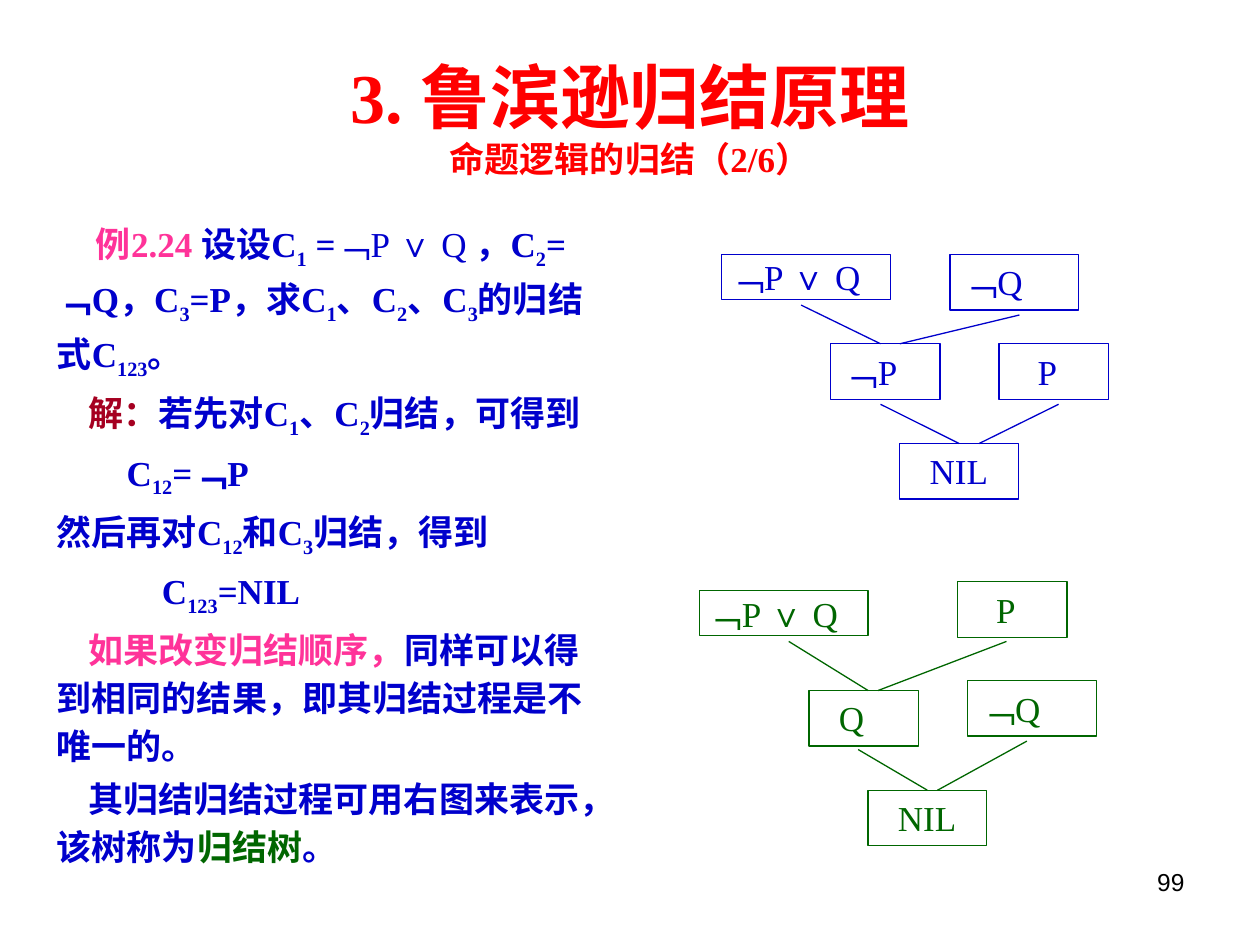
from lxml.etree import SubElement
from pptx import Presentation
from pptx.dml.color import RGBColor
from pptx.enum.shapes import MSO_CONNECTOR as LINE, MSO_SHAPE as SHAPE
from pptx.enum.text import MSO_ANCHOR as ANCHOR, MSO_AUTO_SIZE as FIT, PP_ALIGN as ALIGN
from pptx.oxml.ns import qn
from pptx.util import Cm, Pt

RED = RGBColor(0xFF, 0x00, 0x00)
PINK = RGBColor(0xFF, 0x33, 0x99)
CRIMSON = RGBColor(0xA5, 0x00, 0x21)
BLUE = RGBColor(0x00, 0x00, 0xCC)
GREEN = RGBColor(0x00, 0x66, 0x00)
BLACK = RGBColor(0x00, 0x00, 0x00)
SERIF = "Times New Roman"

TITLE = "3. 鲁滨逊归结原理"
SUBTITLE = "命题逻辑的归结（2/6）"
PAGE_NUMBER = "99"

# (first-line indent in cm, [(text, colour, bold)]); text between bars is subscript
BODY = [
    (0.79, [("例2.24 ", PINK, True), ("设设C|1| =", BLUE, True), ("﹁P ", BLUE, False),
            ("∨", BLUE, True), (" Q ", BLUE, False),
            ("，C|2|=﹁Q，C|3|=P，求C|1|、C|2|、C|3|的归结式C|123|。", BLUE, True)]),
    (0.64, [("解：", CRIMSON, True), ("若先对C|1|、C|2|归结，可得到", BLUE, True)]),
    (1.41, [("C|12|=﹁P", BLUE, True)]),
    (0, [("然后再对C|12|和C|3|归结，得到", BLUE, True)]),
    (2.12, [("C|123|=NIL", BLUE, True)]),
    (0.64, [("如果改变归结顺序，", PINK, True),
            ("同样可以得到相同的结果，即其归结过程是不唯一的。", BLUE, True)]),
    (0.64, [("其归结归结过程可用右图来表示，该树称为", BLUE, True),
            ("归结树", GREEN, True), ("。", BLUE, True)]),
]

# clause: (width, height, side margin, top margin, indent) in cm, [(text, bold)]
CLAUSES = {
    "not P or Q": ((3.4, 0.91, 0.15, 0.03, 0), [("﹁P ", False), ("∨", True), (" Q", False)]),
    "not Q": ((2.59, 1.12, 0.25, 0.13, 0), [("﹁Q", False)]),
    "not P": ((2.21, 1.12, 0.25, 0.13, 0), [("﹁P", False)]),
    "P": ((2.21, 1.12, 0.25, 0.13, 0.53), [("P", False)]),
    "Q": ((2.21, 1.12, 0.25, 0.13, 0.35), [("Q", False)]),
    "NIL": ((2.39, 1.12, 0.25, 0.13, 0.35), [("NIL", False)]),
}

# Edges run (x1, y1, x2, y2); the one named "root" ends at the top middle of NIL
TREES = [
    {"colour": BLUE,
     "nodes": [("not P or Q", 14.55, 5.13), ("not Q", 19.15, 5.13), ("not P", 16.74, 6.93),
               ("P", 20.14, 6.93), ("NIL", 18.14, 8.94)],
     "edges": [(16.15, 6.15, 17.75, 6.93), (20.55, 6.35, 18.14, 6.93),
               (21.34, 8.15, 19.74, 8.94)],
     "root": (17.75, 8.15)},
    {"colour": GREEN,
     "nodes": [("not P or Q", 14.1, 11.91), ("P", 19.3, 11.73), ("Q", 16.31, 13.92),
               ("not Q", 19.51, 13.72), ("NIL", 17.5, 15.93)],
     "edges": [(15.9, 12.93, 17.5, 13.92), (20.29, 12.93, 17.7, 13.92),
               (20.7, 14.94, 18.9, 15.93)],
     "root": (17.3, 15.11)},
]


def add_span(para, text, colour, bold=False, size=20, font=SERIF):
    span = para.add_run()
    span.text = text
    span.font.name, span.font.size, span.font.bold = font, Pt(size), bold
    span.font.color.rgb = colour
    return span


def place(shape, left, top, width, height):
    shape.left, shape.top, shape.width, shape.height = map(Cm, (left, top, width, height))
    shape.text_frame.auto_size = FIT.NONE
    shape.text_frame.word_wrap = True


def add_title(page):
    title = page.shapes.title
    place(title, 1.27, 0.76, 22.86, 3.18)
    title.text_frame.vertical_anchor = ANCHOR.MIDDLE
    para = title.text_frame.paragraphs[0]
    para.alignment = ALIGN.CENTER
    add_span(para, TITLE, RED, True, 40)
    para.add_line_break()
    add_span(para, SUBTITLE, RED, True)


def add_body(page):
    body = page.placeholders[1]
    place(body, 0.89, 4.22, 11.2, 14.38)
    frame = body.text_frame
    for index, (indent, pieces) in enumerate(BODY):
        para = frame.add_paragraph() if index else frame.paragraphs[0]
        para.line_spacing = 1.15
        para.space_before = Pt(2.5 if index else 0)
        properties = para._p.get_or_add_pPr()
        properties.set("marL", "0")
        properties.set("indent", str(Cm(indent)))
        SubElement(properties, qn("a:buNone"))
        for text, colour, bold in pieces:
            for part, fragment in enumerate(text.split("|")):
                span = add_span(para, fragment, colour, bold)
                if part % 2:
                    span.font._element.set("baseline", "-25000")


def add_node(page, clause, left, top, colour):
    (width, height, side, edge, indent), pieces = CLAUSES[clause]
    box = page.shapes.add_shape(SHAPE.RECTANGLE, Cm(left), Cm(top), Cm(width), Cm(height))
    box.shadow.inherit = False
    box.fill.background()
    box.line.color.rgb, box.line.width = colour, Pt(0.75)
    frame = box.text_frame
    frame.word_wrap = True
    frame.vertical_anchor = ANCHOR.TOP
    frame.margin_left = Cm(side + indent)
    frame.margin_right = Cm(side)
    frame.margin_top = frame.margin_bottom = Cm(edge)
    para = frame.paragraphs[0]
    para.alignment = ALIGN.LEFT
    for text, bold in pieces:
        add_span(para, text, colour, bold)
    return box


def add_edge(page, ends, colour):
    edge = page.shapes.add_connector(LINE.STRAIGHT, *map(Cm, ends))
    edge.line.color.rgb, edge.line.width = colour, Pt(0.75)
    SubElement(edge._element.spPr, qn("a:effectLst"))
    return edge


def add_tree(page, tree):
    colour = tree["colour"]
    boxes = {clause: add_node(page, clause, left, top, colour)
             for clause, left, top in tree["nodes"]}
    for ends in tree["edges"]:
        add_edge(page, ends, colour)
    add_edge(page, tree["root"] * 2, colour).end_connect(boxes["NIL"], 0)


def add_page_number(page):
    box = page.shapes.add_textbox(0, 0, 0, 0)
    place(box, 18.21, 17.35, 5.92, 1.32)
    para = box.text_frame.paragraphs[0]
    para.alignment = ALIGN.RIGHT
    add_span(para, PAGE_NUMBER, BLACK, size=14, font="Arial")


def main():
    deck = Presentation()
    deck.slide_width, deck.slide_height = Cm(25.4), Cm(19.05)
    page = deck.slides.add_slide(deck.slide_layouts[1])
    add_title(page)
    add_body(page)
    for tree in TREES:
        add_tree(page, tree)
    add_page_number(page)
    deck.save("out.pptx")


if __name__ == "__main__":
    main()
